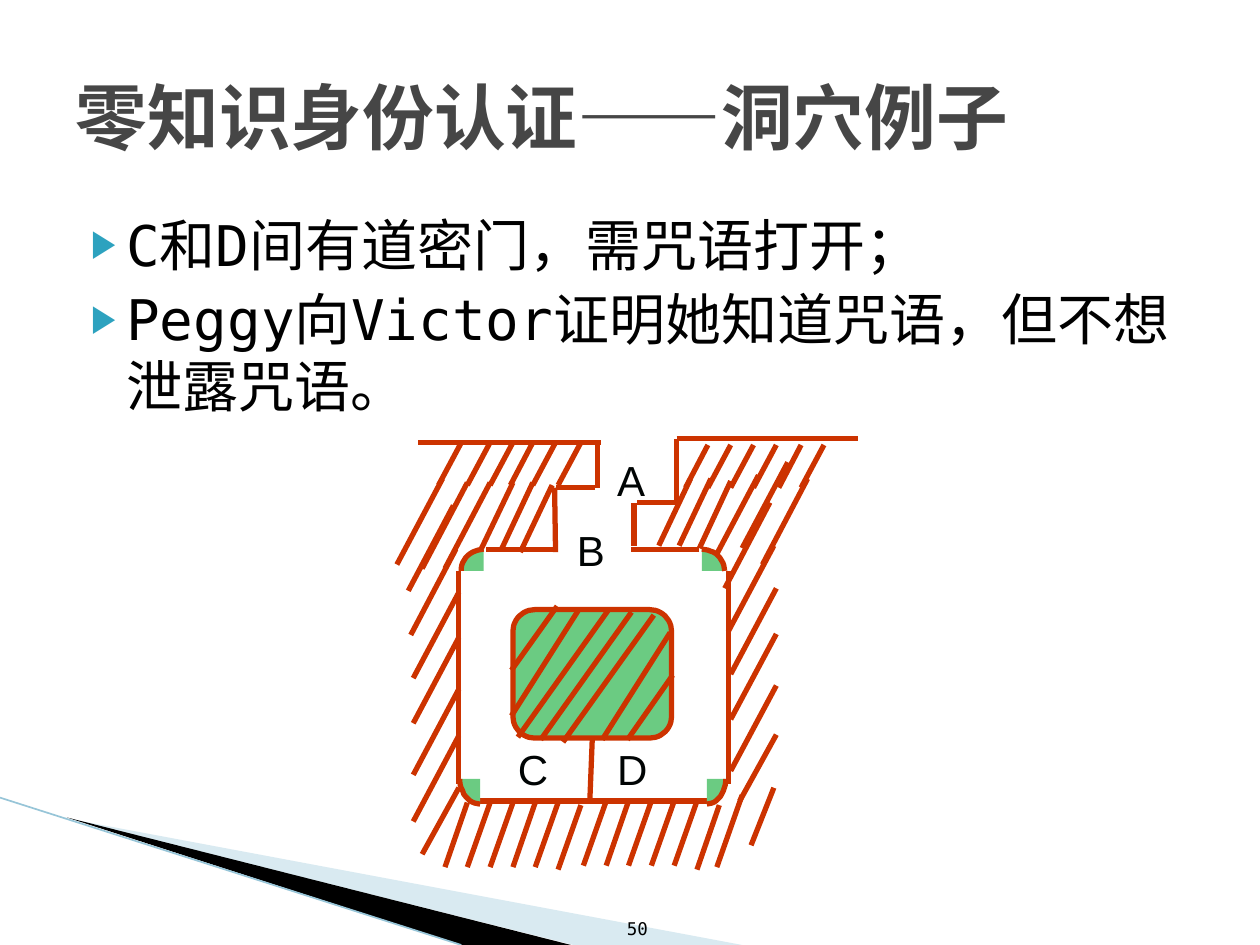
from math import cos, pi, sin

from lxml.etree import SubElement
from pptx import Presentation
from pptx.dml.color import RGBColor
from pptx.enum.lang import MSO_LANGUAGE_ID
from pptx.enum.shapes import MSO_CONNECTOR, MSO_SHAPE
from pptx.enum.text import MSO_ANCHOR, MSO_AUTO_SIZE, PP_ALIGN
from pptx.oxml.ns import qn
from pptx.util import Cm, Pt

COLORS = {
    "ink": "000000", "title": "464646", "label": "000404", "bullet": "2DA2BF",
    "wall": "CC3300", "rock": "6BCB82", "pale": "A0CBDC", "edge": "97C5D8",
}
MONO = "DejaVu Sans Mono"
SANS = "Arial"
CM_PER_UNIT = 2.54

HATCHES = {
    (-0.36, 0.68): [
        (6.25, 3.67), (3.71, 3.83), (3.89, 3.83), (3.64, 4.7), (3.64, 5.06),
        (3.64, 5.47), (3.64, 5.84), (3.62, 4.36), (3.6, 4.01), (3.51, 3.8),
        (6.41, 3.8), (6.16, 4.67), (6.16, 5.03), (6.16, 5.44), (6.14, 4.33),
        (6.11, 3.99), (6.02, 3.77)],
    (-0.29, 0.53): [(3.64, 6.25), (6.16, 5.83)],
    (-0.2, 0.57): [(5.89, 6.31)],
    (-0.18, 0.46): [(6.14, 6.25)],
    (-0.18, 0.51): [(3.71 + 0.18 * i, 6.37) for i in range(5)]
    + [(4.81 + 0.18 * i, 6.36) for i in range(5)] + [(4.61, 6.39), (5.71, 6.39)],
    (-0.25, 0.53): [
        (4.07, 3.83), (4.23, 3.83), (4.38, 3.85),
        (5.48, 3.8), (5.64, 3.8), (5.8, 3.82)],
    (-0.18, 0.34): [(x, 3.51) for x in (3.66, 3.89, 4.07, 4.23, 4.41, 4.61)]
    + [(x, 3.53) for x in (5.62, 5.8, 5.98, 6.16, 6.36, 6.54)],
}
ROCK_HATCHES = {
    (0.54, -0.85): [(4.06, 5.68), (4.78, 5.87)],
    (0.72, -1.01): [(4.29, 5.87), (4.47, 5.89), (4.11, 5.85)],
    (0.36, -0.51): [(4.98, 5.87), (4.06, 5.32)],
}
WALLS = [
    [(3.32, 3.51), (4.77, 3.51)], [(5.37, 3.48), (6.81, 3.48)],
    [(4.74, 3.53), (4.74, 3.87)], [(4.72, 3.87), (4.41, 3.87)],
    [(4.4, 3.87), (4.41, 4.38)], [(5.03, 4.33), (5.03, 3.99)],
    [(5.06, 3.99), (5.37, 3.99)], [(5.37, 3.99), (5.37, 3.48)],
    [(5.62, 6.36), (4, 6.36)], [(5.55, 4.36), (5.01, 4.36)],
    [(5.78, 4.53), (5.78, 6.22)], [(3.8, 6.36), (5.42, 6.36)],
    [(3.86, 4.36), (4.41, 4.36)], [(3.64, 4.53), (3.64, 6.22)],
]
CORNERS = [
    (5.57, 4.53, 0.18, -0.17), (5.61, 6.18, 0.15, 0.2),
    (3.84, 4.53, -0.18, -0.17), (3.81, 6.18, -0.16, 0.2),
]
LABELS = [("A", 4.8, 3.56), ("B", 4.48, 4.11), ("C", 4.01, 5.85), ("D", 4.8, 5.85)]


def length(units):
    return Cm(round(units * CM_PER_UNIT, 2))


def color(name):
    return RGBColor.from_string(COLORS[name])


class CavePage:
    def __init__(self, deck):
        self.page = deck.slides.add_slide(deck.slide_layouts[1])
        self.canvas = self.page.shapes

    def start_group(self):
        self.canvas = self.page.shapes.add_group_shape().shapes

    def place(self, box, left, top, width, height):
        box.left, box.top = length(left), length(top)
        box.width, box.height = length(width), length(height)

    def span(self, para, text, size, name, font, bold=False):
        span = para.add_run()
        span.text = text
        span.font.size = Pt(size)
        span.font.name = font
        span.font.bold = bold
        span.font.color.rgb = color(name)
        span.font.language_id = MSO_LANGUAGE_ID.SIMPLIFIED_CHINESE

    def title(self, text):
        box = self.page.shapes.title
        self.place(box, 0.5, 0.3, 9, 1.25)
        frame = box.text_frame
        frame.auto_size = MSO_AUTO_SIZE.NONE
        frame.vertical_anchor = MSO_ANCHOR.MIDDLE
        para = frame.paragraphs[0]
        para.alignment = PP_ALIGN.LEFT
        self.span(para, text, 41, "title", MONO, True)

    def bullets(self, items):
        box = self.page.placeholders[1]
        self.place(box, 0.5, 1.62, 9, 4.95)
        frame = box.text_frame
        frame.auto_size = MSO_AUTO_SIZE.NONE
        for index, item in enumerate(items):
            para = frame.add_paragraph() if index else frame.paragraphs[0]
            properties = para._p.get_or_add_pPr()
            properties.set("marL", str(length(0.4)))
            properties.set("indent", str(length(-0.28)))
            tint = SubElement(properties, qn("a:buClr"))
            SubElement(tint, qn("a:srgbClr"), val=COLORS["bullet"])
            SubElement(properties, qn("a:buSzPct"), val="68000")
            SubElement(properties, qn("a:buChar"), char="▶")
            para.space_before = Pt(4 if index else 0)
            self.span(para, item, 32, "ink", MONO)

    def label(self, text, left, top, width, height, size, font, name,
              anchor=MSO_ANCHOR.TOP, align=PP_ALIGN.LEFT):
        box = self.canvas.add_textbox(
            length(left), length(top), length(width), length(height))
        frame = box.text_frame
        frame.word_wrap = True
        frame.vertical_anchor = anchor
        para = frame.paragraphs[0]
        para.alignment = align
        self.span(para, text, size, name, font)

    def line(self, start, end, name="wall", width=3):
        line = self.canvas.add_connector(
            MSO_CONNECTOR.STRAIGHT, *(length(value) for value in (*start, *end)))
        line.line.color.rgb = color(name)
        line.line.width = Pt(width)
        SubElement(line._element.spPr, qn("a:effectLst"))
        return line

    def hatch(self, hatches):
        for (dx, dy), starts in hatches.items():
            for x, y in starts:
                self.line((x, y), (x + dx, y + dy))

    def style(self, shape, fill=None, line=None, alpha=None):
        shape.shadow.inherit = False
        if fill:
            shape.fill.solid()
            shape.fill.fore_color.rgb = color(fill)
        else:
            shape.fill.background()
        if alpha:
            tint = shape._element.spPr.find(qn("a:solidFill"))[0]
            SubElement(tint, qn("a:alpha"), val=str(alpha * 1000))
        if line:
            shape.line.color.rgb = color(line)
            shape.line.width = Pt(3)
        else:
            shape.line.fill.background()

    def outline(self, points, close=True, **look):
        first, *rest = [(length(x), length(y)) for x, y in points]
        builder = self.canvas.build_freeform(*first)
        builder.add_line_segments(rest, close=close)
        self.style(builder.convert_to_shape(), **look)

    def corner(self, x, y, dx, dy, steps=12):
        angles = [pi / 2 * step / steps for step in range(steps + 1)]
        arc = [(x + dx * sin(angle), y + dy * cos(angle)) for angle in angles]
        self.outline(arc + [(x, y)], fill="rock")
        self.outline(arc, close=False, line="wall")

    def rock(self):
        rock = self.canvas.add_shape(
            MSO_SHAPE.ROUNDED_RECTANGLE,
            length(4.07), length(4.84), length(1.26), length(1.02))
        rock.adjustments[0] = 0.17
        self.style(rock, fill="rock", line="wall")
        return rock


def main():
    deck = Presentation()
    deck.slide_width, deck.slide_height = length(10), length(7.5)
    page = CavePage(deck)

    page.outline([(0.55, 6.5), (5.89, 7.5), (4.55, 7.5)], fill="pale", alpha=40)
    page.outline([(0.53, 6.49), (4.53, 7.5), (3.66, 7.5)], fill="ink")
    page.line((0, 6.33), (3.66, 7.5), "edge", 0.95)
    page.bullets(["C和D间有道密门，需咒语打开；",
                  "Peggy向Victor证明她知道咒语，但不想泄露咒语。"])
    page.title("零知识身份认证——洞穴例子")
    page.label("50", 4.68, 7.01, 0.56, 0.49, 10, MONO, "ink",
               MSO_ANCHOR.BOTTOM, PP_ALIGN.RIGHT)

    page.start_group()
    page.hatch(HATCHES)
    rock = page.rock()
    door = page.line((4.7, 5.86), (4.68, 6.36))
    door.begin_connect(rock, 2)
    for start, end in WALLS:
        page.line(start, end)
    for corner in CORNERS:
        page.corner(*corner)
    page.hatch(ROCK_HATCHES)
    for text, left, top in LABELS:
        page.label(text, left, top, 0.55, 0.4, 24, SANS, "label")

    deck.save("out.pptx")


if __name__ == "__main__":
    main()
